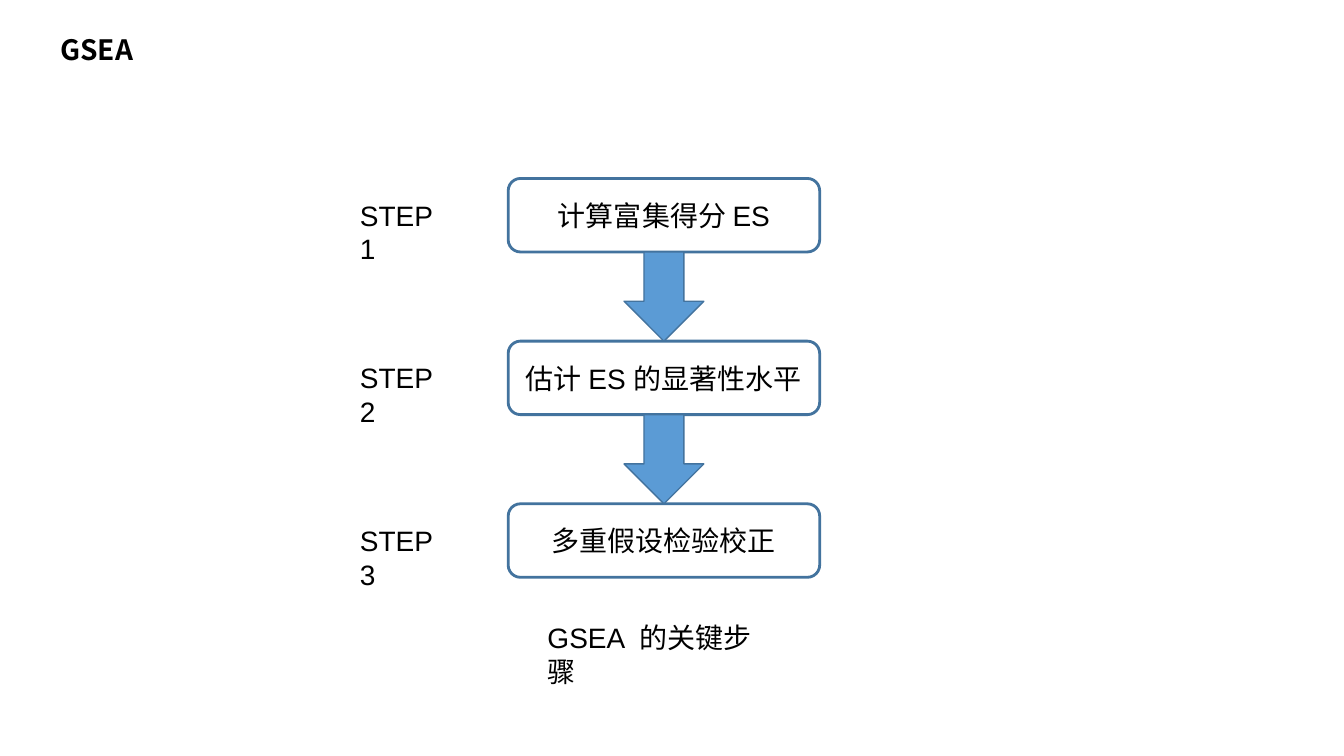
from pptx import Presentation
from pptx.dml.color import RGBColor
from pptx.enum.shapes import MSO_SHAPE
from pptx.enum.text import MSO_ANCHOR, MSO_AUTO_SIZE, PP_ALIGN
from pptx.util import Pt

TITLE = "GSEA"
STEPS = [
    ("STEP 1", "计算富集得分 ES"),
    ("STEP 2", "估计 ES 的显著性水平"),
    ("STEP 3", "多重假设检验校正"),
]
CAPTION = "GSEA  的关键步骤"

BLACK, WHITE, BLUE, EDGE = "000000", "FFFFFF", "5B9BD5", "43739E"
BOX_LEFT, BOX_TOP, BOX_WIDTH, BOX_HEIGHT = 363, 127.5, 222.5, 52.5
PITCH = 116.2
ARROW_WIDTH = 57
LABEL_LEFT, LABEL_WIDTH, LABEL_HEIGHT = 250, 82.5, 31.5

prs = Presentation()
prs.slide_width, prs.slide_height = Pt(960), Pt(540)
slide = prs.slides.add_slide(prs.slide_layouts[6])


def color(value):
    return RGBColor.from_string(value)


def write(frame, text, font="Arial", bold=False, align=PP_ALIGN.LEFT,
          anchor=MSO_ANCHOR.TOP, wrap=True):
    frame.word_wrap = wrap
    frame.vertical_anchor = anchor
    paragraph = frame.paragraphs[0]
    paragraph.alignment = align
    run = paragraph.add_run()
    run.text = text
    run.font.name = font
    run.font.size = Pt(20)
    run.font.bold = bold
    run.font.color.rgb = color(BLACK)


def add_text(left, top, width, text, **style):
    box = slide.shapes.add_textbox(Pt(left), Pt(top), Pt(width), Pt(LABEL_HEIGHT))
    write(box.text_frame, text, **style)
    box.text_frame.auto_size = MSO_AUTO_SIZE.SHAPE_TO_FIT_TEXT


def add_block(kind, left, top, width, height, fill, line_width):
    block = slide.shapes.add_shape(kind, Pt(left), Pt(top), Pt(width), Pt(height))
    block.shadow.inherit = False
    block.fill.solid()
    block.fill.fore_color.rgb = color(fill)
    block.line.color.rgb = color(EDGE)
    block.line.width = Pt(line_width)
    return block


add_text(36, 19.5, 68.5, TITLE, font="Noto Sans CJK SC", bold=True, wrap=False)

for index, (label, task) in enumerate(STEPS):
    top = BOX_TOP + index * PITCH
    step = add_block(MSO_SHAPE.ROUNDED_RECTANGLE, BOX_LEFT, top,
                     BOX_WIDTH, BOX_HEIGHT, WHITE, 2)
    write(step.text_frame, task, align=PP_ALIGN.CENTER, anchor=MSO_ANCHOR.MIDDLE)
    add_text(LABEL_LEFT, top + (BOX_HEIGHT - LABEL_HEIGHT) / 2, LABEL_WIDTH,
             label, wrap=False)

for index in range(len(STEPS) - 1):
    add_block(MSO_SHAPE.DOWN_ARROW, BOX_LEFT + (BOX_WIDTH - ARROW_WIDTH) / 2,
              BOX_TOP + BOX_HEIGHT + index * PITCH,
              ARROW_WIDTH, PITCH - BOX_HEIGHT, BLUE, 1)

add_text(384, 440, 180, CAPTION)

prs.save("out.pptx")
